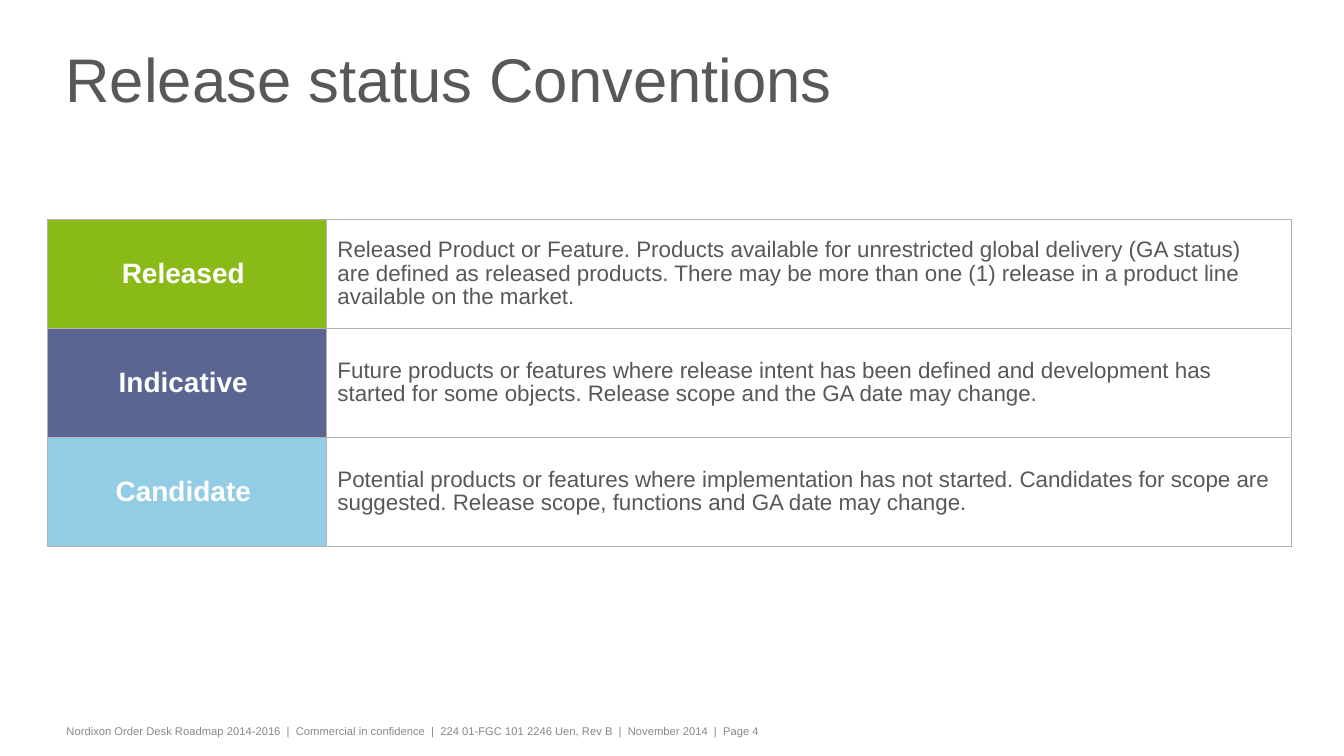
import pptx
import pptx.dml.color
import pptx.enum.text
import pptx.oxml
import pptx.oxml.ns
import pptx.util
from dataclasses import dataclass

PX = 9144  # EMU per px, 100 px to the inch
MIDDLE = pptx.enum.text.MSO_ANCHOR.MIDDLE
CENTER = pptx.enum.text.PP_ALIGN.CENTER
LEFT = pptx.enum.text.PP_ALIGN.LEFT


@dataclass(frozen=True)
class Theme:
    font: str = "Arial"
    text: str = "58585A"
    muted: str = "87888A"
    white: str = "FFFFFF"
    border: str = "B1B3B4"
    released: str = "89BA17"
    indicative: str = "5B6592"
    candidate: str = "92CCE5"
    title_size: int = 44
    label_size: int = 20
    body_size: int = 16
    footer_size: int = 8
    border_width: float = 1.08


def px(n):
    return pptx.util.Emu(n * PX)


def rgb(color):
    return pptx.dml.color.RGBColor.from_string(color)


class SlideBuilder:
    def __init__(self, slide, theme):
        self.slide = slide
        self.theme = theme

    def set_text(self, tf, text, size, color, bold=False, align=LEFT, spacing=1.0):
        tf.text = text
        tf.word_wrap = True
        for p in tf.paragraphs:
            p.alignment = align
            p.line_spacing = spacing
            p.space_before = pptx.util.Pt(0)
            for r in p.runs:
                r.font.name = self.theme.font
                r.font.size = pptx.util.Pt(size)
                r.font.bold = bold
                r.font.color.rgb = rgb(color)

    def inset(self, box, left, top, right, bottom):
        box.margin_left, box.margin_top = px(left), px(top)
        box.margin_right, box.margin_bottom = px(right), px(bottom)

    def title(self, text, x, y, w, h):
        sp = self.slide.shapes.title
        sp.left, sp.top, sp.width, sp.height = px(x), px(y), px(w), px(h)
        tf = sp.text_frame
        tf.auto_size = pptx.enum.text.MSO_AUTO_SIZE.NONE
        tf.vertical_anchor = MIDDLE
        self.inset(tf, 8, 0, 8, 0)
        self.set_text(tf, text, self.theme.title_size, self.theme.text, spacing=0.75)

    def footer(self, text, x, y, w, h):
        sp = self.slide.shapes.add_textbox(px(x), px(y), px(w), px(h))
        self.inset(sp.text_frame, 8, 5, 8, 5)
        self.set_text(sp.text_frame, text, self.theme.footer_size, self.theme.muted)

    def borders(self, cell):
        tcPr = cell._tc.get_or_add_tcPr()
        width = pptx.util.Pt(self.theme.border_width)
        for side in ("lnL", "lnR", "lnT", "lnB"):
            tcPr.append(pptx.oxml.parse_xml(
                f'<a:{side} {pptx.oxml.ns.nsdecls("a")} w="{width}"><a:solidFill>'
                f'<a:srgbClr val="{self.theme.border}"/></a:solidFill></a:{side}>'))

    def status_table(self, rows, x, y, col_widths, row_height):
        frame = self.slide.shapes.add_table(
            len(rows), len(col_widths), px(x), px(y),
            px(sum(col_widths)), px(row_height * len(rows)))
        table = frame.table
        table.first_row = table.horz_banding = False
        for col, width in zip(table.columns, col_widths):
            col.width = px(width)
        for row, (status, color, meaning) in zip(table.rows, rows):
            row.height = px(row_height)
            label, body = row.cells
            for cell, left in ((label, 6), (body, 11)):
                cell.vertical_anchor = MIDDLE
                self.inset(cell, left, 5, 13, 5)
                self.borders(cell)
            label.fill.solid()
            label.fill.fore_color.rgb = rgb(color)
            body.fill.background()
            self.set_text(label.text_frame, status, self.theme.label_size,
                          self.theme.white, bold=True, align=CENTER)
            self.set_text(body.text_frame, meaning, self.theme.body_size,
                          self.theme.text, spacing=0.95)


def main():
    prs = pptx.Presentation()
    prs.slide_width, prs.slide_height = px(1334), px(750)
    theme = Theme()
    s = SlideBuilder(prs.slides.add_slide(prs.slide_layouts[5]), theme)

    # Title
    s.title("Release status Conventions", 57, 26, 1093, 119)

    # Status definitions
    s.status_table([
        ("Released", theme.released,
         "Released Product or Feature. Products available for unrestricted global "
         "delivery (GA status) are defined as released products. There may be more "
         "than one (1) release in a product line available on the market."),
        ("Indicative", theme.indicative,
         "Future products or features where release intent has been defined and "
         "development has started for some objects. Release scope and the GA date "
         "may change."),
        ("Candidate", theme.candidate,
         "Potential products or features where implementation has not started. "
         "Candidates for scope are suggested. Release scope, functions and GA date "
         "may change."),
    ], 47, 218, (277, 958), 108)

    # Footer
    s.footer("Nordixon Order Desk Roadmap 2014-2016  |  Commercial in confidence  |  "
             "224 01-FGC 101 2246 Uen, Rev B  |  November 2014  |  Page 4",
             58, 714, 1079, 24)

    prs.save("out.pptx")


if __name__ == "__main__":
    main()
